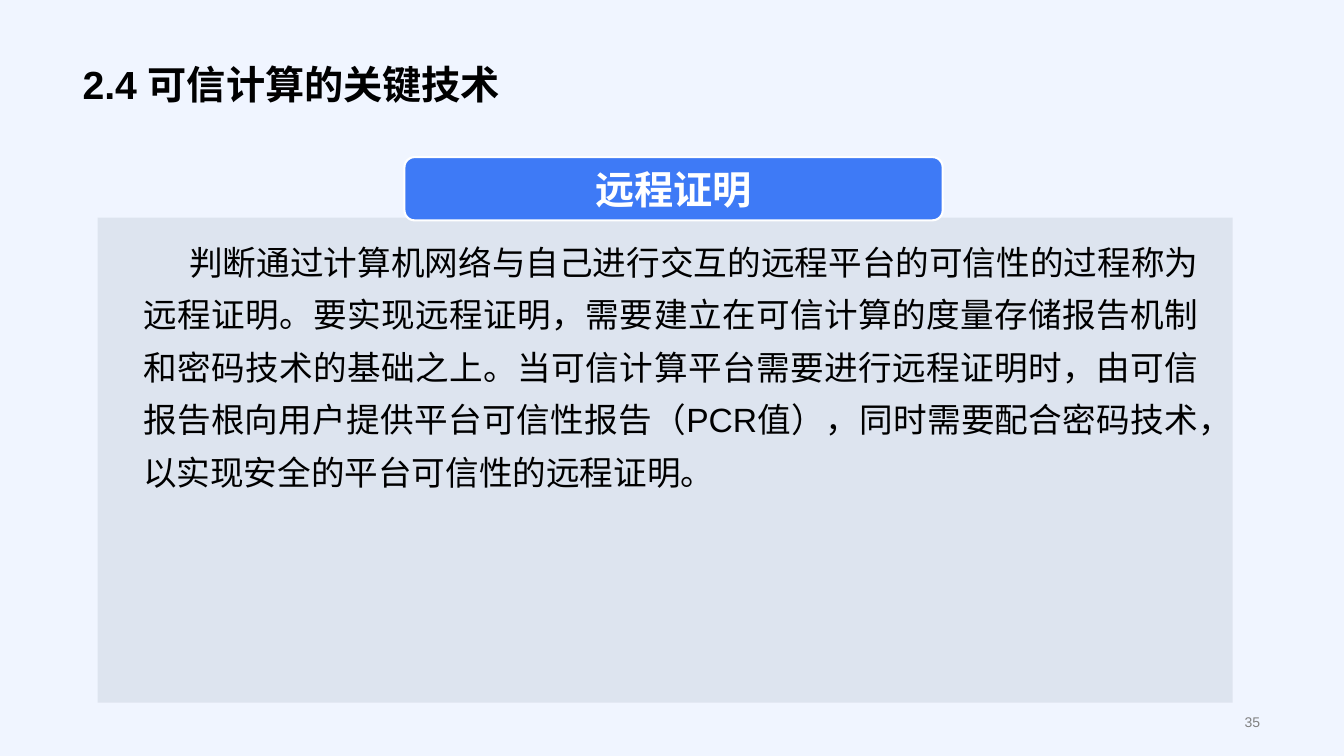
from dataclasses import dataclass

from lxml import etree
from pptx import Presentation
from pptx.dml.color import RGBColor
from pptx.enum.shapes import MSO_SHAPE
from pptx.enum.text import MSO_ANCHOR as Anchor, MSO_AUTO_SIZE as AutoSize, PP_ALIGN as Align
from pptx.oxml.ns import qn
from pptx.util import Pt

FONT = "Arial"
BLACK, WHITE, GREY = "000000", "FFFFFF", "808080"
PALE_BLUE, BLUE, SLATE = "F0F5FF", "3E7AF6", "778495"


@dataclass
class Area:
    left: float
    top: float
    width: float
    height: float

    def lengths(self) -> tuple:
        return Pt(self.left), Pt(self.top), Pt(self.width), Pt(self.height)


@dataclass
class Wording:
    text: str
    size: float
    color: str
    bold: bool = False
    align: Align = Align.LEFT
    anchor: Anchor = Anchor.MIDDLE
    spacing: float = 1.0


@dataclass
class Block:
    area: Area
    fill: str
    corner: float = 0
    opacity: int = 100
    outline: str = ""


def rgb(value: str) -> RGBColor:
    return RGBColor.from_string(value)


def write(frame, wording: Wording):
    frame.word_wrap = True
    frame.auto_size = AutoSize.NONE
    frame.vertical_anchor = wording.anchor
    paragraph = frame.paragraphs[0]
    paragraph.alignment = wording.align
    paragraph.line_spacing = wording.spacing
    run = paragraph.add_run()
    run.text = wording.text
    run.font.name = FONT
    run.font.size = Pt(wording.size)
    run.font.bold = wording.bold
    run.font.color.rgb = rgb(wording.color)
    return paragraph


def draw_block(slide, block: Block):
    shape = slide.shapes.add_shape(MSO_SHAPE.ROUNDED_RECTANGLE, *block.area.lengths())
    shape.adjustments[0] = block.corner
    shape.shadow.inherit = False
    shape.fill.solid()
    shape.fill.fore_color.rgb = rgb(block.fill)
    if block.opacity < 100:
        color = shape.fill._xPr.find(qn("a:solidFill"))[0]
        etree.SubElement(color, qn("a:alpha")).set("val", str(block.opacity * 1000))
    if block.outline:
        shape.line.color.rgb = rgb(block.outline)
        shape.line.width = Pt(1.5)
    else:
        shape.line.fill.background()
    return shape


def add_text(slide, area: Area, wording: Wording, inset: float = 0):
    frame = slide.shapes.add_textbox(*area.lengths()).text_frame
    if inset:
        frame.margin_left = frame.margin_right = Pt(inset)
        frame.margin_top = frame.margin_bottom = Pt(inset)
    return write(frame, wording)


TITLE_AREA = Area(51.8, 0, 855.4, 80.6)
TITLE = Wording("2.4 可信计算的关键技术", 28, BLACK, True, anchor=Anchor.BOTTOM, spacing=0.9)
PAGE_AREA = Area(697.7, 506.9, 209.5, 17.3)
PAGE = Wording("35", 10, GREY, align=Align.RIGHT)
PANEL = Block(Area(69.8, 155.5, 810.7, 346.3), SLATE, opacity=15)
EXPLANATION_AREA = Area(93.6, 155.5, 771.1, 202.3)
EXPLANATION = Wording(
    "判断通过计算机网络与自己进行交互的远程平台的可信性的过程称为远程证明。"
    "要实现远程证明，需要建立在可信计算的度量存储报告机制和密码技术的基础之上。"
    "当可信计算平台需要进行远程证明时，由可信报告根向用户提供平台可信性报告（PCR值），"
    "同时需要配合密码技术，以实现安全的平台可信性的远程证明。",
    24, BLACK, align=Align.JUSTIFY, anchor=Anchor.TOP, spacing=1.3)
HEADING_BAR = Block(Area(288.9, 112.2, 384.5, 45.2), BLUE, corner=0.16, outline=WHITE)
HEADING = Wording("远程证明", 28, WHITE, True, Align.CENTER)


def main() -> None:
    deck = Presentation()
    deck.slide_width, deck.slide_height = Pt(960), Pt(540)
    slide = deck.slides.add_slide(deck.slide_layouts[5])
    slide.background.fill.solid()
    slide.background.fill.fore_color.rgb = rgb(PALE_BLUE)

    # Title and page number
    title = slide.shapes.title
    title.left, title.top, title.width, title.height = TITLE_AREA.lengths()
    write(title.text_frame, TITLE)
    add_text(slide, PAGE_AREA, PAGE)

    # Explanation on its panel, first line indented
    draw_block(slide, PANEL)
    explanation = add_text(slide, EXPLANATION_AREA, EXPLANATION, inset=8.64)
    explanation._p.get_or_add_pPr().set("indent", str(Pt(33)))

    # Heading bar over the panel's top edge
    write(draw_block(slide, HEADING_BAR).text_frame, HEADING)

    deck.save("out.pptx")


if __name__ == "__main__":
    main()
